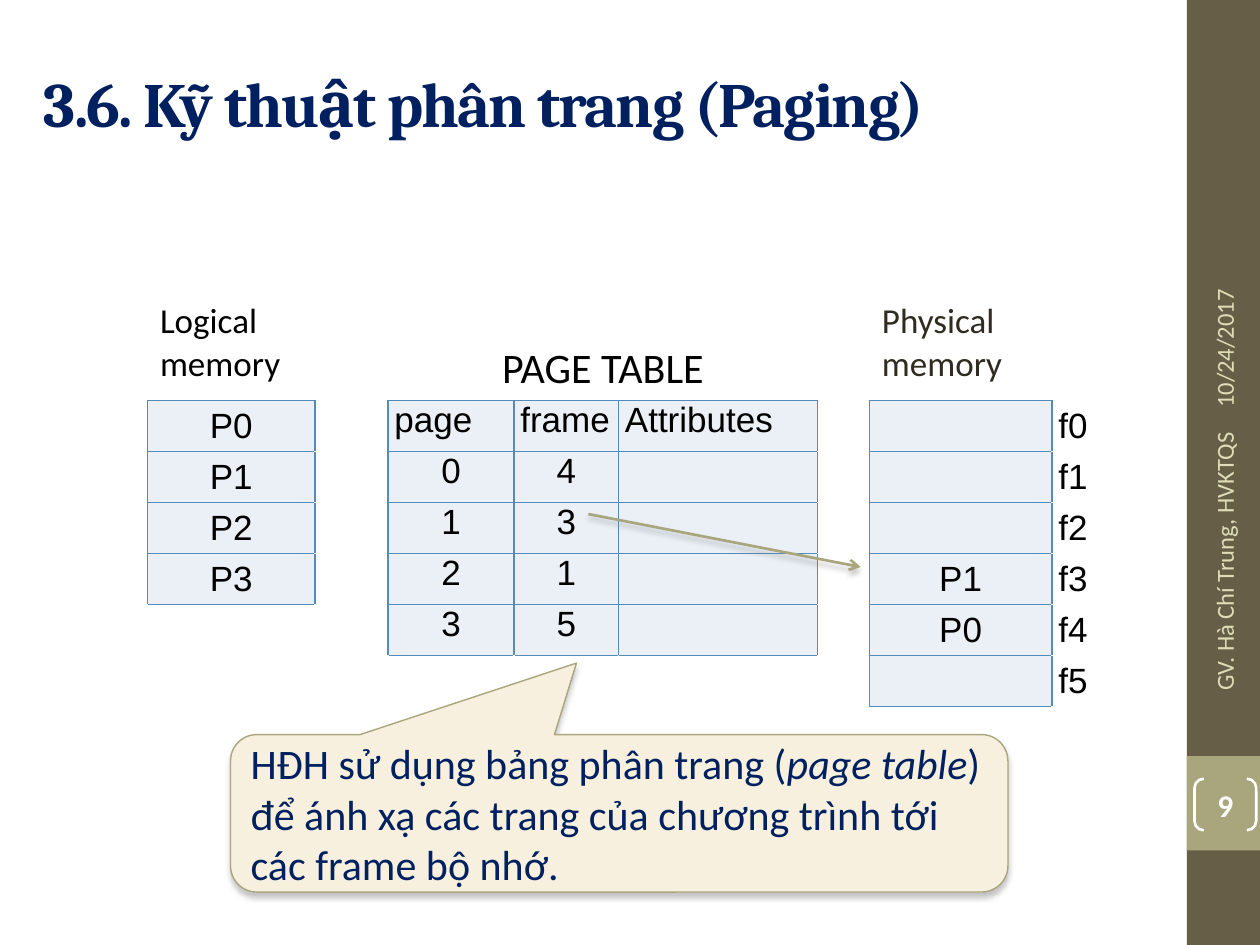
from lxml import etree
from pptx import Presentation
from pptx.dml.color import RGBColor
from pptx.enum import shapes, text
from pptx.oxml import parse_xml
from pptx.util import Inches, Pt

NS = 'xmlns:a="http://schemas.openxmlformats.org/drawingml/2006/main"'
SHADOW = (f'<a:effectLst {NS}><a:outerShdw blurRad="38100" dist="30480" dir="5400000" rotWithShape="0">'
          '<a:srgbClr val="808080"><a:alpha val="45000"/></a:srgbClr></a:outerShdw></a:effectLst>')
LEFT, CENTER, RIGHT = text.PP_ALIGN.LEFT, text.PP_ALIGN.CENTER, text.PP_ALIGN.RIGHT
TOP, MIDDLE, BOTTOM = text.MSO_ANCHOR.TOP, text.MSO_ANCHOR.MIDDLE, text.MSO_ANCHOR.BOTTOM


def rgb(value):
    return RGBColor.from_string(value)


def write(tf, runs, size, font, color, align=LEFT, anchor=MIDDLE, bold=False):
    tf.word_wrap = True
    tf.vertical_anchor = anchor
    p = tf.paragraphs[0]
    p.alignment = align
    for words in runs:
        r = p.add_run()
        r.text = words
        r.font.size = Pt(size)
        r.font.name = font
        r.font.bold = bold
        r.font.color.rgb = rgb(color)
    return p


prs = Presentation()
prs.slide_width, prs.slide_height = Inches(10), Inches(7.5)
s = prs.slides.add_slide(prs.slide_layouts[6])

for top, height, color in [(0, 7.5, "675E47"), (6, 0.75, "A9A57C")]:
    sp = s.shapes.add_shape(shapes.MSO_SHAPE.RECTANGLE, Inches(9.42), Inches(top), Inches(0.58), Inches(height))
    sp.shadow.inherit = False
    sp.fill.solid()
    sp.fill.fore_color.rgb = rgb(color)
    sp.line.fill.background()

title = s.shapes.add_textbox(Inches(0.25), Inches(0.3), Inches(8.92), Inches(1.03))
p = write(title.text_frame, ["3.6. Kỹ thuật phân trang (Paging)"], 36, "Cambria", "002060", bold=True)
p.runs[0].font._element.set("spc", "-100")

for left, top, width, words, align in [(8.38, 1.8, 2.67, "10/24/2017", LEFT),
                                       (8.42, 4.43, 2.59, "GV. Hà Chí Trung, HVKTQS", RIGHT)]:
    sp = s.shapes.add_textbox(Inches(left), Inches(top), Inches(width), Inches(0.4))
    sp.rotation = 270
    write(sp.text_frame, [words], 14, "Calibri", "DFDCB7", align)

number = s.shapes.add_shape(shapes.MSO_SHAPE.DOUBLE_BRACKET, Inches(9.48), Inches(6.18), Inches(0.49), Inches(0.41))
number.shadow.inherit = False
number.adjustments[0] = 0.18
number.fill.background()
number.line.color.rgb = rgb("FFFFFF")
number.line.width = Pt(1.5)
tf = number.text_frame
tf.margin_left = tf.margin_right = tf.margin_top = tf.margin_bottom = 0
write(tf, ["9"], 18, "Calibri", "FFFFFF", CENTER, bold=True)

rows = [
    ["Logical memory", "", "PAGE TABLE", "", "", "", "Physical memory", ""],
    ["P0", "", "page", "frame", "Attributes", "", "", "f0"],
    ["P1", "", "0", "4", "", "", "", "f1"],
    ["P2", "", "1", "3", "", "", "", "f2"],
    ["P3", "", "2", "1", "", "", "P1", "f3"],
    ["", "", "3", "5", "", "", "P0", "f4"],
    ["", "", "", "", "", "", "", "f5"],
]
widths = [1.33, 0.58, 1, 0.83, 1.58, 0.41, 1.45, 0.34]
last_filled = {0: 4, 2: 5, 3: 5, 4: 5, 6: 6}
filled = {(i, j) for j, last in last_filled.items() for i in range(1, last + 1)}

frame = s.shapes.add_table(len(rows), len(widths), Inches(1.17), Inches(2.33), Inches(sum(widths)), Inches(3.28))
table = frame.table
table.first_row = table.horz_banding = False
for column, width in zip(table.columns, widths):
    column.width = Inches(width)
for i, row in enumerate(table.rows):
    row.height = Inches(0.85 if i == 0 else 2.43 / 6)

for i, row in enumerate(rows):
    for j, words in enumerate(row):
        cell = table.cell(i, j)
        if i:
            cell.margin_left = cell.margin_right = Inches(0.05)
            cell.margin_top = cell.margin_bottom = 0
        anchor = MIDDLE if j in (0, 6, 7) else TOP
        align = CENTER if i > 1 and j < 7 or (i, j) in [(1, 0), (0, 2)] else LEFT
        if i == 0:
            anchor = BOTTOM if j == 2 else TOP
        if words:
            write(cell.text_frame, [words], 24 if (i, j) == (0, 2) else 20, "Arial" if i else "Calibri",
                  "2F2B20" if (i, j) == (0, 6) else "000000", align, anchor)
            cell.vertical_anchor = anchor
        tcPr = cell._tc.get_or_add_tcPr()
        for side, near in [("L", (i, j - 1)), ("R", (i, j + 1)), ("T", (i - 1, j)), ("B", (i + 1, j))]:
            color = "558BB8" if filled & {(i, j), near} else "FFFFFF"
            tcPr.append(parse_xml(f'<a:ln{side} {NS} w="12700"><a:solidFill><a:srgbClr val="{color}"/>'
                                  f'</a:solidFill></a:ln{side}>'))
        if (i, j) in filled:
            cell.fill.solid()
            cell.fill.fore_color.rgb = rgb("EAF0F6")
        else:
            cell.fill.background()
table.cell(0, 2).merge(table.cell(0, 4))

arrow = s.shapes.add_connector(shapes.MSO_CONNECTOR.STRAIGHT, Inches(4.67), Inches(4.08), Inches(6.83), Inches(4.5))
arrow.line.color.rgb = rgb("A9A57C")
arrow.line.width = Pt(1.5)
arrow.line._get_or_add_ln().append(parse_xml(f'<a:tailEnd {NS} type="arrow"/>'))
arrow._element.spPr.append(parse_xml(SHADOW))

callout = s.shapes.add_shape(shapes.MSO_SHAPE.ROUNDED_RECTANGULAR_CALLOUT,
                             Inches(1.83), Inches(5.83), Inches(6.17), Inches(1.25))
for k, value in enumerate([-0.055, -0.954, 0.167]):
    callout.adjustments[k] = value
callout.fill.solid()
callout.fill.fore_color.rgb = rgb("F7F0DE")
callout.line.color.rgb = rgb("A9A57C")
callout.line.width = Pt(0.79)
callout._element.spPr.append(parse_xml(SHADOW))
p = write(callout.text_frame, ["HĐH sử dụng bảng phân trang (", "page table",
                               ") để ánh xạ các trang của chương trình tới các frame bộ nhớ."],
          24, "Calibri", "002060")
p.runs[1].font.italic = True

prs.save("out.pptx")
